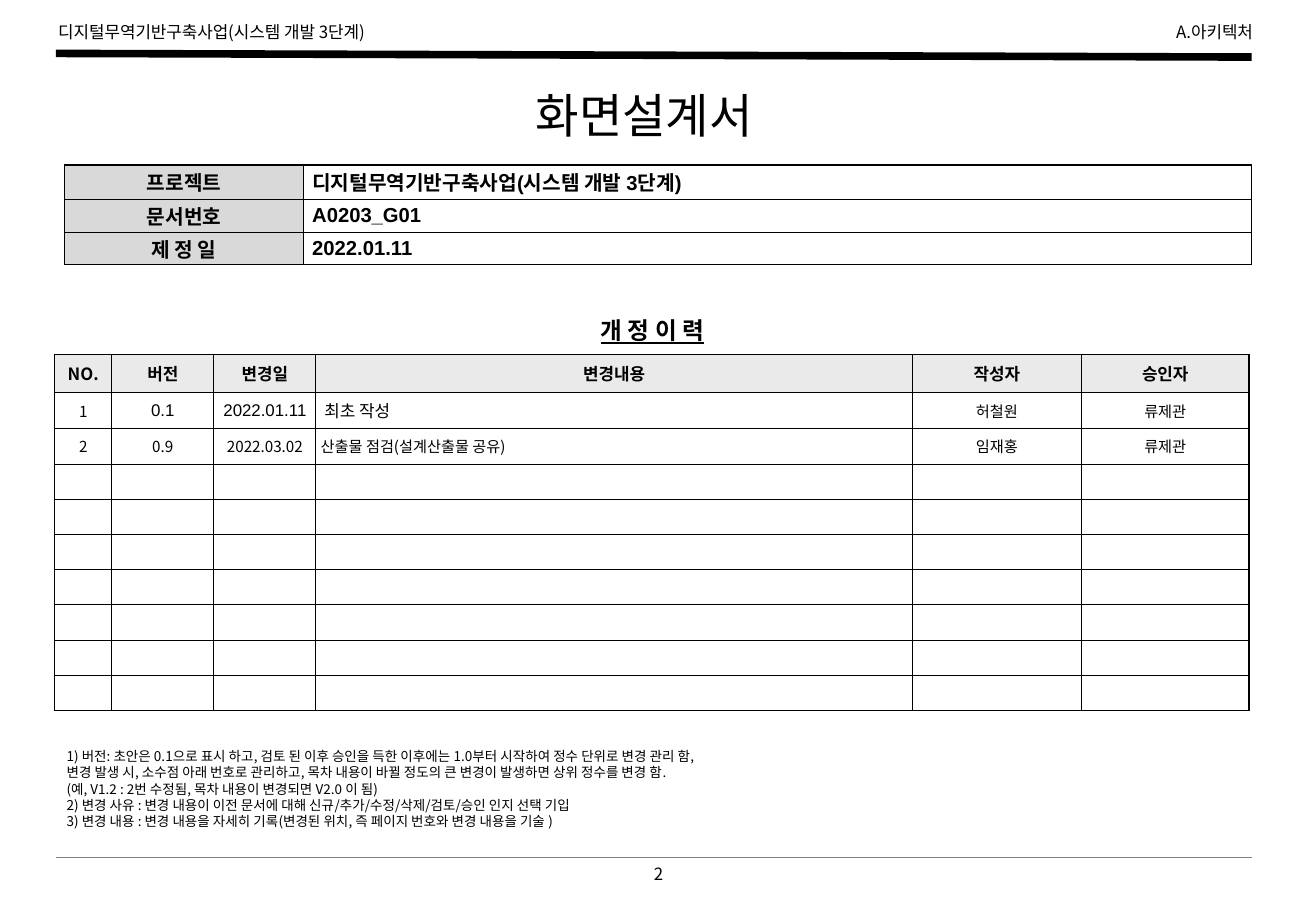
"""Build the revision history page of a screen design document."""
from lxml.etree import SubElement
from pptx import Presentation
from pptx.dml.color import RGBColor
from pptx.enum.shapes import MSO_CONNECTOR
from pptx.enum.text import MSO_ANCHOR, MSO_AUTO_SIZE, PP_ALIGN
from pptx.oxml.ns import qn
from pptx.util import Inches, Pt

KOREAN, LATIN = "Noto Sans CJK KR", "Arial"
BLACK = "000000"
LEFT, CENTER, RIGHT = PP_ALIGN.LEFT, PP_ALIGN.CENTER, PP_ALIGN.RIGHT
PROJECT = "디지털무역기반구축사업(시스템 개발 3단계)"

NOTES = [
    "1) 버전: 초안은 0.1으로 표시 하고, 검토 된 이후 승인을 득한 이후에는 1.0부터 시작하여 정수 단위로 변경 관리 함,",
    "변경 발생 시, 소수점 아래 번호로 관리하고, 목차 내용이 바뀔 정도의 큰 변경이 발생하면 상위 정수를 변경 함.",
    "(예, V1.2 : 2번 수정됨, 목차 내용이 변경되면 V2.0 이 됨)",
    "2) 변경 사유 : 변경 내용이 이전 문서에 대해 신규/추가/수정/삭제/검토/승인 인지 선택 기입",
    "3) 변경 내용 : 변경 내용을 자세히 기록(변경된 위치, 즉 페이지 번호와 변경 내용을 기술 )",
]
TEXTS = [
    ((3.45, 7.06, 3.94, 0.27), ["2"], CENTER, True, dict(size=10)),
    ((9.51, 0.13, 0.9, 0.27), ["A.아키텍처"], RIGHT, False, dict(size=10)),
    ((0.38, 0.13, 3.01, 0.27), [PROJECT], LEFT, False, dict(size=10)),
    ((0.45, 2.55, 9.84, 0.34), ["개 정 이 력"], CENTER, True,
     dict(size=14, name=LATIN, bold=True, underline=True)),
    ((0.45, 6.11, 9.84, 0.77), NOTES, LEFT, True, dict(size=8)),
    ((4.31, 0.66, 2.2, 0.57), ["화면설계서"], LEFT, True, dict(size=28)),
]
RULES = [((0.46, 7.06), (10.3, 7.06), "808080", 0.75),
         ((0.46, 0.44), (10.3, 0.47), BLACK, 4.5)]

HISTORY = [
    ["NO.", "버전", "변경일", "변경내용", "작성자", "승인자"],
    ["1", "0.1", "2022.01.11", "최초 작성", "허철원", "류제관"],
    ["2", "0.9", "2022.03.02", "산출물 점검(설계산출물 공유)", "임재홍", "류제관"],
] + [[""] * 6 for _ in range(7)]
HISTORY_COLUMNS = [0.47, 0.84, 0.84, 4.91, 1.39, 1.38]
HISTORY_ROWS = [0.31, 0.3] + [0.29] * 8
DOCUMENT = [["프로젝트", PROJECT], ["문서번호", "A0203_G01"], ["제 정 일", "2022.01.11"]]
DOCUMENT_COLUMNS = [1.97, 7.8]
DOCUMENT_ROWS = [0.28, 0.27, 0.27]


def color(value):
    return RGBColor.from_string(value)


def write(para, text, size, name=KOREAN, **style):
    if not text:
        SubElement(para._p, qn("a:endParaRPr"), sz=str(size * 100))
        return
    span = para.add_run()
    span.text = text
    for key, value in dict(style, size=Pt(size), name=name).items():
        setattr(span.font, key, value)
    span.font.color.rgb = color(BLACK)
    SubElement(span.font._element, qn("a:ea"), typeface=KOREAN)


def add_text(page, place, lines, align, wrap, style):
    frame = page.shapes.add_textbox(*map(Inches, place)).text_frame
    frame.word_wrap = wrap
    frame.auto_size = MSO_AUTO_SIZE.SHAPE_TO_FIT_TEXT
    for index, line in enumerate(lines):
        para = frame.add_paragraph() if index else frame.paragraphs[0]
        para.alignment = align
        para.line_spacing = Pt(style["size"] * 1.2)
        write(para, line, **style)


def add_rule(page, start, end, shade, width):
    rule = page.shapes.add_connector(
        MSO_CONNECTOR.STRAIGHT, *map(Inches, start + end))
    rule.line.color.rgb = color(shade)
    rule.line.width = Pt(width)
    SubElement(rule._element.spPr, qn("a:effectLst"))


def add_borders(cell, outer):
    properties = cell._tc.get_or_add_tcPr()
    for index, side in enumerate("LRTB"):
        width = Pt(1 if side in outer else 0.5)
        line = SubElement(properties, qn("a:ln" + side), w=str(width))
        fill = SubElement(line, qn("a:solidFill"))
        SubElement(fill, qn("a:srgbClr"), val=BLACK)
        properties.insert(index, line)


def add_grid(page, corner, columns, rows, content, cell_format):
    size = sum(columns), sum(rows)
    table = page.shapes.add_table(
        len(rows), len(columns), *map(Inches, corner + size)).table
    table.first_row = table.horz_banding = False
    for column, width in zip(table.columns, columns):
        column.width = Inches(width)
    for r, height in enumerate(rows):
        table.rows[r].height = Inches(height)
        for c, text in enumerate(content[r]):
            cell = table.cell(r, c)
            shade, align, margin, style = cell_format(r, c)
            cell.vertical_anchor = MSO_ANCHOR.MIDDLE
            cell.margin_left = cell.margin_right = Inches(margin)
            cell.margin_top = cell.margin_bottom = 0
            if shade:
                cell.fill.solid()
                cell.fill.fore_color.rgb = color(shade)
            else:
                cell.fill.background()
            edges = dict(L=c == 0, R=c == len(columns) - 1,
                         T=r == 0, B=r == len(rows) - 1)
            add_borders(cell, [side for side, on in edges.items() if on])
            para = cell.text_frame.paragraphs[0]
            para.alignment = align
            write(para, text, **style)


def history_format(r, c):
    if r == 0:
        return "EAEAEA", CENTER, 0.04, dict(size=10, bold=True)
    align = LEFT if c == 3 else CENTER
    if r == 1 and c in (1, 2, 3):
        return None, align, 0.07, dict(size=10, name=LATIN)
    return None, align, 0.04, dict(size=9)


def document_format(r, c):
    style = dict(size=12, name=LATIN, bold=True)
    if c == 0:
        return "D9D9D9", CENTER, 0.05, style
    return None, PP_ALIGN.JUSTIFY, 0.07, style


def main():
    deck = Presentation()
    deck.slide_width, deck.slide_height = Inches(10.83), Inches(7.5)
    page = deck.slides.add_slide(deck.slide_layouts[6])
    for rule in RULES:
        add_rule(page, *rule)
    for text in TEXTS:
        add_text(page, *text)
    add_grid(page, (0.45, 2.92), HISTORY_COLUMNS, HISTORY_ROWS, HISTORY, history_format)
    add_grid(page, (0.53, 1.36), DOCUMENT_COLUMNS, DOCUMENT_ROWS, DOCUMENT, document_format)
    deck.save("out.pptx")


if __name__ == "__main__":
    main()
